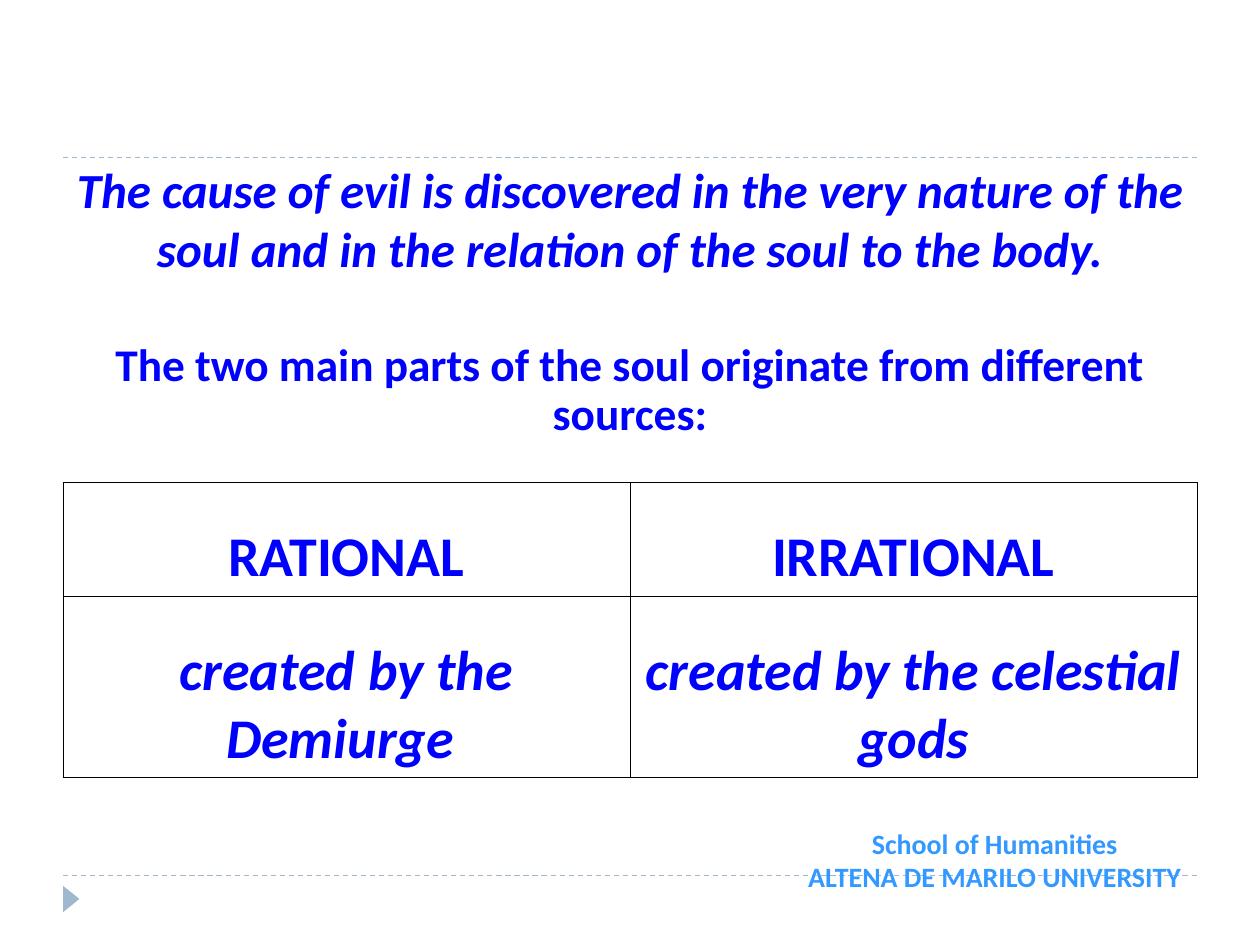
from lxml.etree import SubElement
from pptx import Presentation
from pptx.dml.color import RGBColor
from pptx.enum.dml import MSO_LINE
from pptx.enum.shapes import MSO_CONNECTOR, MSO_SHAPE
from pptx.enum.text import MSO_ANCHOR, PP_ALIGN
from pptx.oxml.ns import qn
from pptx.util import Inches, Pt

FONT = "Calibri"
BLUE, SKY, MIST = "0000FF", "3399FF", "9FB8CD"
LEFT, WIDTH = 0.5, 9

STATEMENT = ("The cause of evil is discovered in the very nature of the soul "
             "and in the relation of the soul to the body.")
LEAD_IN = "The two main parts of the soul originate from different sources:"
SCHOOL = "School of Humanities\nALTENA DE MARILO UNIVERSITY"
SOUL_PARTS = [
    ("RATIONAL", "IRRATIONAL"),
    ("created by the Demiurge ", "created by the celestial gods"),
]
ROW_HEIGHTS = [0.9, 1.44]
RULE_TOPS = [6.95, 1.25]


def color(value):
    return RGBColor.from_string(value)


def write(frame, text, size, ink=BLUE, italic=False):
    frame.word_wrap = True
    para = frame.paragraphs[0]
    para.text = text
    para.alignment = PP_ALIGN.CENTER
    for span in para.runs:
        span.font.name = FONT
        span.font.size = Pt(size)
        span.font.bold = True
        span.font.italic = italic
        span.font.color.rgb = color(ink)
    return para


def add_text(page, place, text, size, anchor=MSO_ANCHOR.TOP, **style):
    box = page.shapes.add_textbox(*map(Inches, place))
    box.text_frame.vertical_anchor = anchor
    return write(box.text_frame, text, size, **style)


def add_rule(page, top):
    rule = page.shapes.add_connector(
        MSO_CONNECTOR.STRAIGHT, Inches(LEFT), Inches(top),
        Inches(LEFT + WIDTH), Inches(top))
    rule.line.color.rgb = color(MIST)
    rule.line.width = Pt(0.75)
    rule.line.dash_style = MSO_LINE.DASH
    SubElement(rule._element.spPr, qn("a:effectLst"))


def add_marker(page):
    marker = page.shapes.add_shape(
        MSO_SHAPE.ISOSCELES_TRIANGLE, *map(Inches, (0.46, 7.07, 0.21, 0.13)))
    marker.rotation = 90
    marker.shadow.inherit = False
    marker.fill.solid()
    marker.fill.fore_color.rgb = color(MIST)
    marker.line.fill.background()


def border(cell):
    properties = cell._tc.get_or_add_tcPr()
    for position, side in enumerate(("lnL", "lnR", "lnT", "lnB")):
        edge = SubElement(properties, qn("a:" + side), w=str(Pt(0.45)))
        fill = SubElement(edge, qn("a:solidFill"))
        SubElement(fill, qn("a:srgbClr"), val="000000")
        properties.insert(position, edge)


def add_soul_table(page):
    table = page.shapes.add_table(
        len(SOUL_PARTS), len(SOUL_PARTS[0]), Inches(LEFT), Inches(3.83),
        Inches(WIDTH), Inches(sum(ROW_HEIGHTS))).table
    for index, (texts, height) in enumerate(zip(SOUL_PARTS, ROW_HEIGHTS)):
        table.rows[index].height = Inches(height)
        for column, text in enumerate(texts):
            cell = table.cell(index, column)
            cell.margin_top = Inches(0.32)
            cell.fill.solid()
            cell.fill.fore_color.rgb = color("FFFFFF")
            border(cell)
            write(cell.text_frame, text, 32, italic=index > 0)


def main():
    deck = Presentation()
    deck.slide_width, deck.slide_height = Inches(10), Inches(7.5)
    page = deck.slides.add_slide(deck.slide_layouts[6])
    for top in RULE_TOPS:
        add_rule(page, top)
    add_marker(page)
    add_text(page, (LEFT, 0.17, WIDTH, 2.08), STATEMENT, 28,
             anchor=MSO_ANCHOR.BOTTOM, italic=True)
    lead_in = add_text(page, (LEFT, 2.67, WIDTH, 1), LEAD_IN, 25.9)
    lead_in.line_spacing = 0.9
    lead_in.space_before = Pt(6)
    add_text(page, (6.26, 6.51, 3.27, 0.64), SCHOOL, 16, ink=SKY)
    add_soul_table(page)
    deck.save("out.pptx")


if __name__ == "__main__":
    main()
